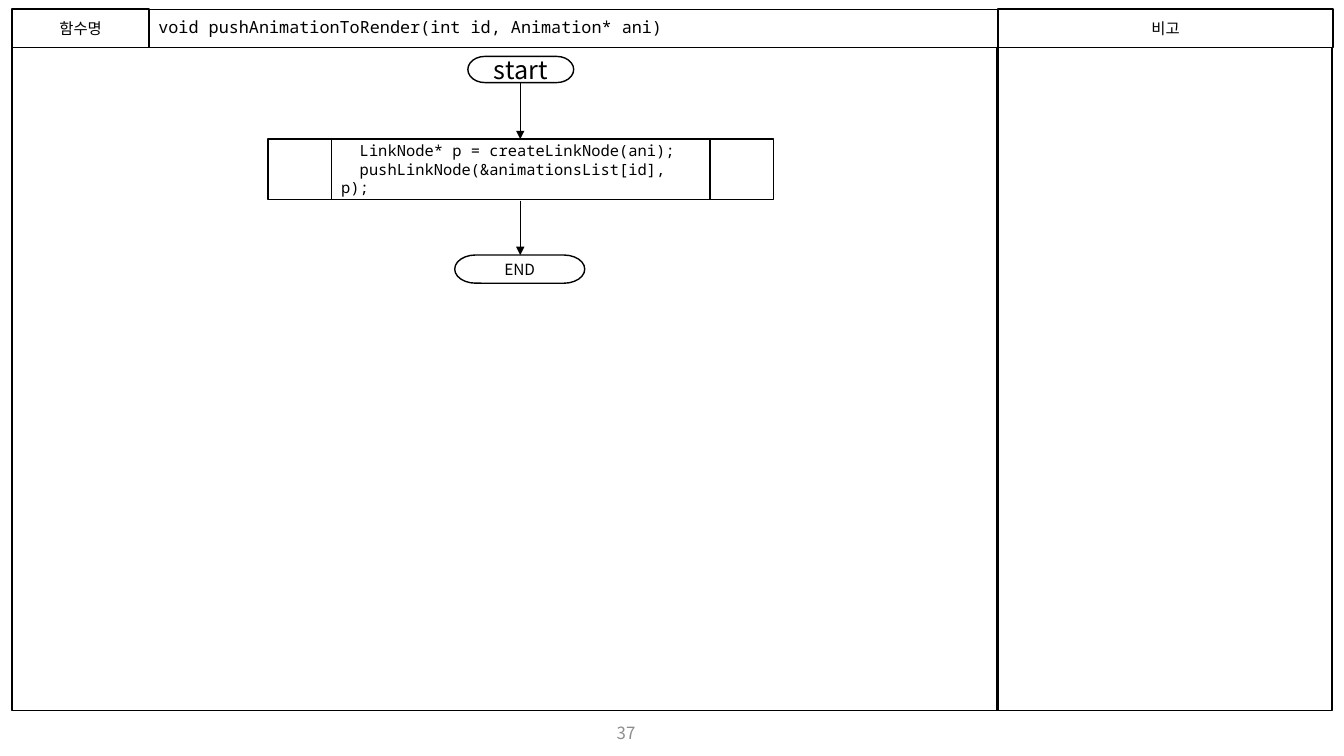
from lxml import etree
from pptx import Presentation
from pptx.dml.color import RGBColor
from pptx.enum.shapes import MSO_CONNECTOR, MSO_SHAPE
from pptx.enum.text import MSO_ANCHOR, MSO_AUTO_SIZE, PP_ALIGN
from pptx.oxml.ns import qn
from pptx.util import Pt

SCALE = 9144
BLACK = RGBColor(0, 0, 0)
WHITE = RGBColor(255, 255, 255)
GREY = RGBColor(0x8C, 0x8C, 0x8C)
SANS = "Noto Sans CJK KR"
MONO = "Noto Sans Mono"
RECT = MSO_SHAPE.RECTANGLE
CALL = MSO_SHAPE.FLOWCHART_PREDEFINED_PROCESS
TERM = MSO_SHAPE.FLOWCHART_TERMINATOR
STRAIGHT = MSO_CONNECTOR.STRAIGHT
LEFT, CENTER = PP_ALIGN.LEFT, PP_ALIGN.CENTER
FRAME = {"word_wrap": True, "auto_size": MSO_AUTO_SIZE.NONE,
         "vertical_anchor": MSO_ANCHOR.MIDDLE}
HEAD_TOP, HEAD_H = 9, 38
BODY_TOP, BODY_H = 47, 658
MID = 516


def px(*nums):
    """Turn whole px into EMU."""
    return [n * SCALE for n in nums]


def apply(item, form):
    """Set each attribute that the dict names."""
    for key, val in form.items():
        setattr(item, key, val)


def write(shape, lines, size=11, face=SANS, align=CENTER, color=BLACK, lead=None):
    """Fill a shape with one paragraph per line."""
    frame = shape.text_frame
    apply(frame, FRAME)
    frame.text = "\n".join(lines)
    for para in frame.paragraphs:
        apply(para, {"alignment": align, "line_spacing": lead})
        for run in para.runs:
            apply(run.font, {"size": Pt(size), "name": face})
            run.font.color.rgb = color
            etree.SubElement(run.font._element, qn("a:ea"), typeface=face)


def edge(shape, width=1):
    """Give a shape or connector a black line."""
    shape.line.color.rgb = BLACK
    shape.line.width = Pt(width)


def title(slide, text, box):
    """Place the framed title."""
    head = slide.shapes.title
    apply(head, dict(zip(("left", "top", "width", "height"), px(*box))))
    edge(head, 0.75)
    write(head, [text], 12, MONO, LEFT, lead=0.9)


def block(slide, kind, box, lines=(), fill=None, **form):
    """Draw an outlined shape with optional text."""
    shape = slide.shapes.add_shape(kind, *px(*box))
    shape.shadow.inherit = False
    if fill is None:
        shape.fill.background()
    else:
        shape.fill.solid()
        shape.fill.fore_color.rgb = fill
    edge(shape)
    if lines:
        write(shape, lines, **form)


def arrow(slide, top, end):
    """Draw a downward arrow on the flow axis."""
    link = slide.shapes.add_connector(STRAIGHT, *px(MID, top, MID, end))
    edge(link)
    etree.SubElement(link.line._get_or_add_ln(), qn("a:tailEnd"), type="triangle")
    etree.SubElement(link._element.spPr, qn("a:effectLst"))


def label(slide, text, box, **form):
    """Add a plain text box."""
    write(slide.shapes.add_textbox(*px(*box)), [text], **form)


def main():
    """Build the slide and save it."""
    deck = Presentation()
    deck.slide_width, deck.slide_height = px(1333, 750)
    slide = deck.slides.add_slide(deck.slide_layouts[5])
    title(slide, "void pushAnimationToRender(int id, Animation* ani)",
          (147, HEAD_TOP, 842, HEAD_H))
    for left, width, text in ((12, 136, "함수명"), (990, 332, "비고")):
        block(slide, RECT, (left, HEAD_TOP, width, HEAD_H), [text])
    for left, width in ((12, 978), (989, 332)):
        block(slide, RECT, (left, BODY_TOP, width, BODY_H))
    label(slide, "37", (471, 713, 300, 28), size=12, color=GREY)
    code = ["  LinkNode* p = createLinkNode(ani);",
            "  pushLinkNode(&animationsList[id], p);"]
    block(slide, CALL, (266, 138, 501, 60), code, WHITE, face=MONO, align=LEFT)
    block(slide, TERM, (464, 56, 105, 26), ["start"], WHITE, size=18)
    block(slide, TERM, (451, 253, 129, 28), ["END"], WHITE)
    for top, end in ((82, 138), (199, 253)):
        arrow(slide, top, end)
    deck.save("out.pptx")


if __name__ == "__main__":
    main()
